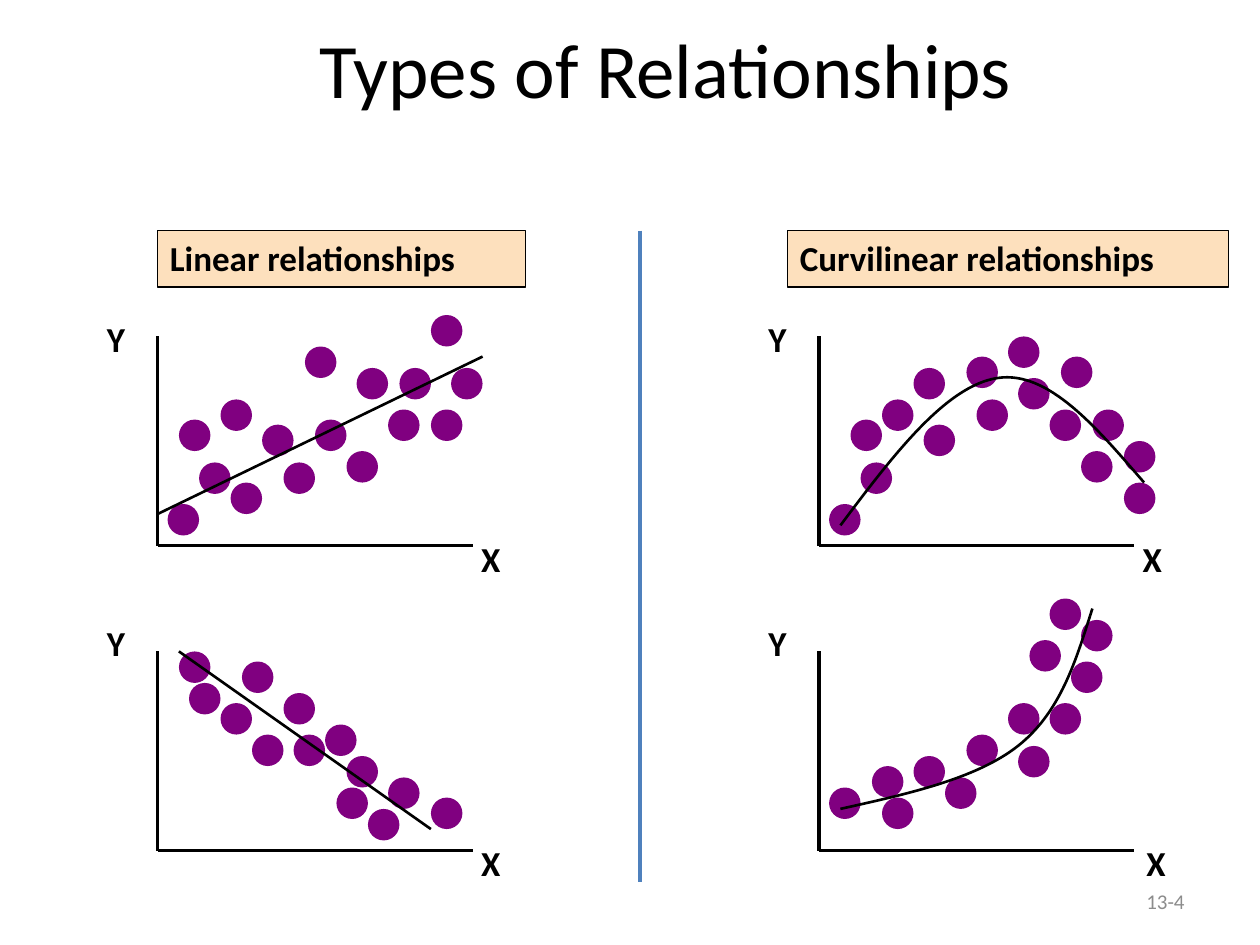
from lxml import etree
from pptx import Presentation
from pptx.dml.color import RGBColor
from pptx.enum.shapes import MSO_CONNECTOR, MSO_SHAPE
from pptx.enum.text import MSO_ANCHOR, PP_ALIGN
from pptx.oxml.ns import qn
from pptx.util import Inches, Pt

BLACK, PURPLE, PEACH, BLUE, GRAY = "000000", "800080", "FDE0BD", "4F81BD", "8C8C8C"
FONT = "Calibri"
DOT = 0.25
AXIS_WIDTH = 2.5

HEADINGS = [("Linear relationships", 1.25, 2.92), ("Curvilinear relationships", 6.25, 3.5)]

# Dots are the left and top of each circle; a trend of two points is straight,
# a longer one is a start point followed by cubic Bezier triples.
PLOTS = [
    dict(left=1.25, top=2.67, bottom=4.33, y_label=2.47, x_label=(3.72, 4.22),
         dots=[(1.33, 4), (1.58, 3.67), (3.42, 2.5), (3.58, 2.92), (1.83, 3.83),
               (3.17, 2.92), (2.75, 3.58), (2.83, 2.92), (2.42, 2.75), (1.42, 3.33),
               (1.75, 3.17), (2.08, 3.37), (3.08, 3.25), (2.5, 3.33), (2.25, 3.67),
               (3.42, 3.25)],
         trend=[(1.25, 4.08), (3.83, 2.83)]),
    dict(left=1.25, top=5.17, bottom=6.75, y_label=4.88, x_label=(3.72, 6.63),
         dots=[(2.92, 6.42), (1.5, 5.42), (3.42, 6.33), (1.92, 5.25), (2.75, 6),
               (3.08, 6.17), (2.25, 5.5), (1.42, 5.17), (1.75, 5.58), (2, 5.83),
               (2.67, 6.25), (2.58, 5.75), (2.33, 5.83)],
         trend=[(1.42, 5.17), (3.42, 6.58)]),
    dict(left=6.5, top=2.67, bottom=4.33, y_label=2.47, x_label=(8.97, 4.22),
         dots=[(6.58, 4), (6.83, 3.67), (8.92, 3.5), (8.42, 2.83), (7.25, 2.92),
               (8.92, 3.83), (8.58, 3.58), (8.08, 3), (7.67, 2.83), (6.75, 3.33),
               (7, 3.17), (7.33, 3.37), (8.33, 3.25), (7.75, 3.17), (8, 2.67),
               (8.67, 3.25)],
         trend=[(6.67, 4.17), (7.09, 3.61), (7.51, 3.06), (7.92, 3),
                (8.32, 2.94), (8.7, 3.39), (9.08, 3.83)]),
    dict(left=6.5, top=5.17, bottom=6.75, y_label=4.88, x_label=(9, 6.63),
         dots=[(6.58, 6.25), (6.92, 6.08), (8.58, 4.92), (8.5, 5.25), (7, 6.33),
               (8.17, 5.08), (8.08, 5.92), (8, 5.58), (8.33, 4.75), (7.25, 6),
               (8.33, 5.58), (7.67, 5.83), (7.5, 6.17)],
         trend=[(6.67, 6.42), (7.21, 6.3), (7.75, 6.18), (8.08, 5.92),
                (8.42, 5.65), (8.54, 5.24), (8.67, 4.83)]),
]


def rgb(value):
    """Turn a hex string into a colour."""
    return RGBColor.from_string(value)


def set_line(shape, color, width):
    """Give an outline or connector its colour and width in points."""
    shape.line.color.rgb = rgb(color)
    shape.line.width = Pt(width)


def write(shape, text, size, color=BLACK, bold=False, align=PP_ALIGN.LEFT,
          anchor=MSO_ANCHOR.TOP, wrap=True):
    """Put one styled paragraph into a shape."""
    frame = shape.text_frame
    frame.word_wrap = wrap
    frame.vertical_anchor = anchor
    paragraph = frame.paragraphs[0]
    paragraph.alignment = align
    run = paragraph.add_run()
    run.text = text
    run.font.name, run.font.size, run.font.bold = FONT, Pt(size), bold
    run.font.color.rgb = rgb(color)


def add_text(left, top, width, height, text, size, **style):
    """Add a text box."""
    box = slide.shapes.add_textbox(*map(Inches, (left, top, width, height)))
    write(box, text, size, **style)


def add_shape(kind, left, top, width, height, fill):
    """Add a filled preset shape without outline or shadow."""
    shape = slide.shapes.add_shape(kind, *map(Inches, (left, top, width, height)))
    shape.shadow.inherit = False
    shape.fill.solid()
    shape.fill.fore_color.rgb = rgb(fill)
    shape.line.fill.background()
    return shape


def add_line(start, end, color, width):
    """Add a straight connector."""
    line = slide.shapes.add_connector(MSO_CONNECTOR.STRAIGHT, *map(Inches, (*start, *end)))
    set_line(line, color, width)
    etree.SubElement(line._element.spPr, qn("a:effectLst"))


def add_curve(points, color, width):
    """Add an open freeform whose segments are cubic Bezier curves."""
    builder = slide.shapes.build_freeform(*map(Inches, points[0]))
    builder.add_line_segments([(Inches(x), Inches(y)) for x, y in points[1:]], close=False)
    curve = builder.convert_to_shape()
    curve.shadow.inherit = False
    curve.fill.background()
    set_line(curve, color, width)
    path = curve._element.spPr.find(".//" + qn("a:path"))
    segments = path.findall(qn("a:lnTo"))
    for i in range(0, len(segments), 3):
        bezier = etree.SubElement(path, qn("a:cubicBezTo"))
        for segment in segments[i:i + 3]:
            bezier.append(segment[0])
            path.remove(segment)


def add_plot(left, top, bottom, y_label, x_label, dots, trend):
    """Draw a scatter sketch: axes, labels, dots and trend."""
    add_line((left, top), (left, bottom), BLACK, 2)
    add_line((left, bottom), (left + AXIS_WIDTH, bottom), BLACK, 2)
    for text, x, y in (("Y", left - 0.5, y_label), ("X", *x_label)):
        add_text(x, y, 0.39, 0.43, text, 20, bold=True, wrap=False)
    for x, y in dots:
        add_shape(MSO_SHAPE.OVAL, x, y, DOT, DOT, PURPLE)
    if len(trend) == 2:
        add_line(*trend, BLACK, 1.5)
    else:
        add_curve(trend, BLACK, 1.5)


prs = Presentation()
prs.slide_width, prs.slide_height = Inches(10), Inches(7.5)
slide = prs.slides.add_slide(prs.slide_layouts[6])

add_text(1.25, 0, 8.07, 1.08, "Types of Relationships", 44,
         align=PP_ALIGN.CENTER, anchor=MSO_ANCHOR.MIDDLE)
add_text(7.17, 6.95, 2.33, 0.4, "13-4", 12, color=GRAY,
         align=PP_ALIGN.RIGHT, anchor=MSO_ANCHOR.MIDDLE)
for plot in PLOTS:
    add_plot(**plot)
for heading, left, width in HEADINGS:
    box = add_shape(MSO_SHAPE.RECTANGLE, left, 1.83, width, 0.45, PEACH)
    set_line(box, BLACK, 1)
    write(box, heading, 20, bold=True)
add_line((5.08, 1.83), (5.08, 7), BLUE, 2.25)

prs.save("out.pptx")
